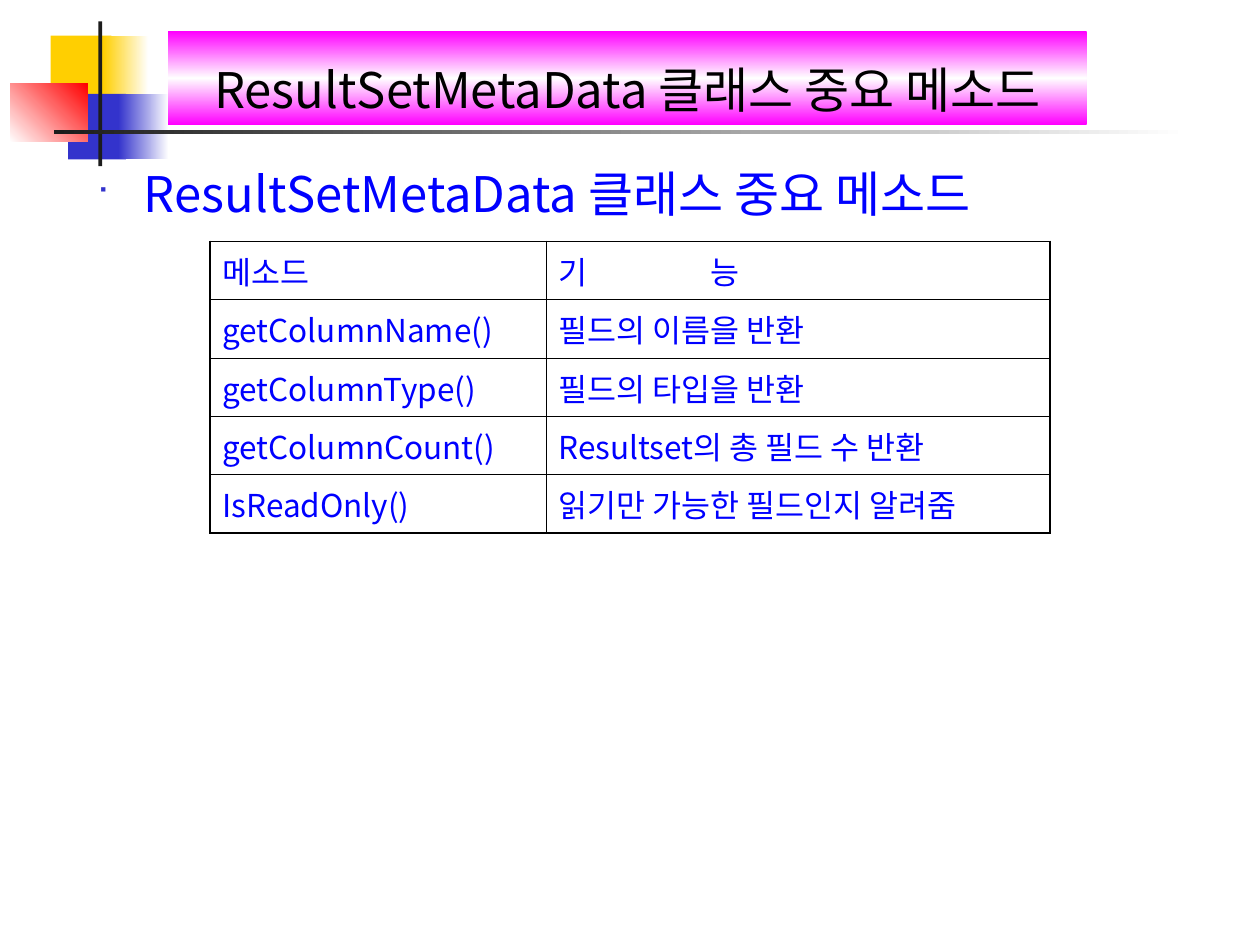
from copy import deepcopy

from pptx import Presentation
from pptx.dml.color import RGBColor
from pptx.enum.shapes import MSO_SHAPE as Preset
from pptx.enum.text import MSO_ANCHOR as Anchor, PP_ALIGN as Align
from pptx.oxml import parse_xml
from pptx.oxml.ns import nsdecls
from pptx.util import Pt

FONT = "Noto Sans CJK KR"
BLACK = RGBColor(0, 0, 0)
WHITE = RGBColor(0xFF, 0xFF, 0xFF)
BLUE = RGBColor(0, 0, 0xFF)
YELLOW = RGBColor(0xFF, 0xCF, 0x01)
INDIGO = RGBColor(0x33, 0x33, 0xCC)
RED = RGBColor(0xFF, 0, 0)
CHARCOAL = RGBColor(0x1C, 0x1C, 0x1C)
MAGENTA = RGBColor(0xFF, 0, 0xFF)

HEADING = "ResultSetMetaData 클래스 중요 메소드"
METHODS = [
    ("메소드", "기\t능"),
    ("getColumnName()", "필드의 이름을 반환"),
    ("getColumnType()", "필드의 타입을 반환"),
    ("getColumnCount()", "Resultset의 총 필드 수 반환"),
    ("IsReadOnly()", "읽기만 가능한 필드인지 알려줌"),
]
ORNAMENTS = [
    ((29, 20.4, 34.6, 37.4), [YELLOW], 0),
    ((59, 20.4, 25.9, 37.4), [YELLOW, WHITE], 0),
    ((38.9, 53.7, 33.1, 37.4), [INDIGO], 0),
    ((67.7, 53.7, 28.8, 37.4), [INDIGO, WHITE], 0),
    ((5.8, 47.8, 44.3, 33.4), [WHITE, RED], 45),
    ((56.2, 12.2, 2.2, 82.8), [CHARCOAL], 0),
    ((31, 74.2, 648, 2.2), [CHARCOAL, WHITE], 0),
]
OUTER, INNER = 1.08, 0.45
ROW_HEIGHT = 33.35


def add_block(shapes, box, colors, angle=0):
    """Add a borderless rectangle with a solid or evenly stepped gradient fill."""
    block = shapes.add_shape(Preset.RECTANGLE, *map(Pt, box))
    block.shadow.inherit = False
    block.line.fill.background()
    if len(colors) == 1:
        block.fill.solid()
        block.fill.fore_color.rgb = colors[0]
        return block
    block.fill.gradient()
    block.fill.gradient_angle = angle
    stops = block.fill.gradient_stops
    if len(colors) == 3:
        last = block.fill._fill._gradFill.gsLst[-1]
        last.addnext(deepcopy(last))
        stops = block.fill.gradient_stops
    for order, (stop, color) in enumerate(zip(stops, colors)):
        stop.position = order / (len(colors) - 1)
        stop.color.rgb = color
    return block


def add_text(paragraph, wording, size, color):
    """Append one styled run."""
    run = paragraph.add_run()
    run.text = wording
    run.font.size = Pt(size)
    run.font.color.rgb = color
    run.font.name = FONT


def add_title(shapes):
    """Add the magenta title banner."""
    banner = add_block(shapes, (96, 18, 525, 53.3), [MAGENTA, WHITE, MAGENTA], 270)
    banner.text_frame.word_wrap = True
    banner.text_frame.vertical_anchor = Anchor.BOTTOM
    paragraph = banner.text_frame.paragraphs[0]
    paragraph.alignment = Align.CENTER
    add_text(paragraph, HEADING, 28, BLACK)


def add_bullet(shapes):
    """Add the bulleted heading below the banner."""
    body = shapes.add_textbox(*map(Pt, (48.2, 90, 657.4, 393.1)))
    body.text_frame.word_wrap = True
    paragraph = body.text_frame.paragraphs[0]
    properties = paragraph._p.get_or_add_pPr()
    properties.set("marL", str(Pt(27)))
    properties.set("indent", str(-Pt(27)))
    for mark in (
        f'<a:buClr {nsdecls("a")}><a:srgbClr val="{INDIGO}"/></a:buClr>',
        f'<a:buSzPct {nsdecls("a")} val="60000"/>',
        f'<a:buFont {nsdecls("a")} typeface="Wingdings"/>',
        f'<a:buChar {nsdecls("a")} char="■"/>',
    ):
        properties.append(parse_xml(mark))
    add_text(paragraph, HEADING, 28, BLUE)


def set_borders(cell, widths):
    """Draw the left, right, top and bottom borders of a cell."""
    properties = cell._tc.get_or_add_tcPr()
    for order, (side, width) in enumerate(zip("LRTB", widths)):
        properties.insert(order, parse_xml(
            f'<a:ln{side} {nsdecls("a")} w="{Pt(width)}"><a:solidFill>'
            f'<a:srgbClr val="{BLACK}"/></a:solidFill></a:ln{side}>'))


def add_tab_stop(paragraph, position):
    """Add one left tab stop to a paragraph."""
    paragraph._p.get_or_add_pPr().append(parse_xml(
        f'<a:tabLst {nsdecls("a")}><a:tab pos="{Pt(position)}" algn="l"/></a:tabLst>'))


def add_method_table(shapes):
    """Add the two-column table of methods and what they do."""
    rows, columns = len(METHODS), 2
    box = map(Pt, (120, 138, 480, ROW_HEIGHT * rows))
    table = shapes.add_table(rows, columns, *box).table
    table.first_row = table.horz_banding = False
    for column, width in zip(table.columns, (192, 288)):
        column.width = Pt(width)
    for r, entries in enumerate(METHODS):
        for c, wording in enumerate(entries):
            cell = table.cell(r, c)
            cell.fill.background()
            edges = (c == 0, c == columns - 1, r == 0, r == rows - 1)
            set_borders(cell, [OUTER if edge else INNER for edge in edges])
            paragraph = cell.text_frame.paragraphs[0]
            if "\t" in wording:
                add_tab_stop(paragraph, 87)
            add_text(paragraph, wording, 18, BLUE)


def main():
    """Build and save the slide."""
    deck = Presentation()
    deck.slide_width, deck.slide_height = Pt(720), Pt(540)
    shapes = deck.slides.add_slide(deck.slide_layouts[6]).shapes
    emblem = shapes.add_group_shape().shapes
    for box, colors, angle in ORNAMENTS:
        add_block(emblem, box, colors, angle)
    add_title(shapes)
    add_bullet(shapes)
    add_method_table(shapes)
    deck.save("out.pptx")


if __name__ == "__main__":
    main()
